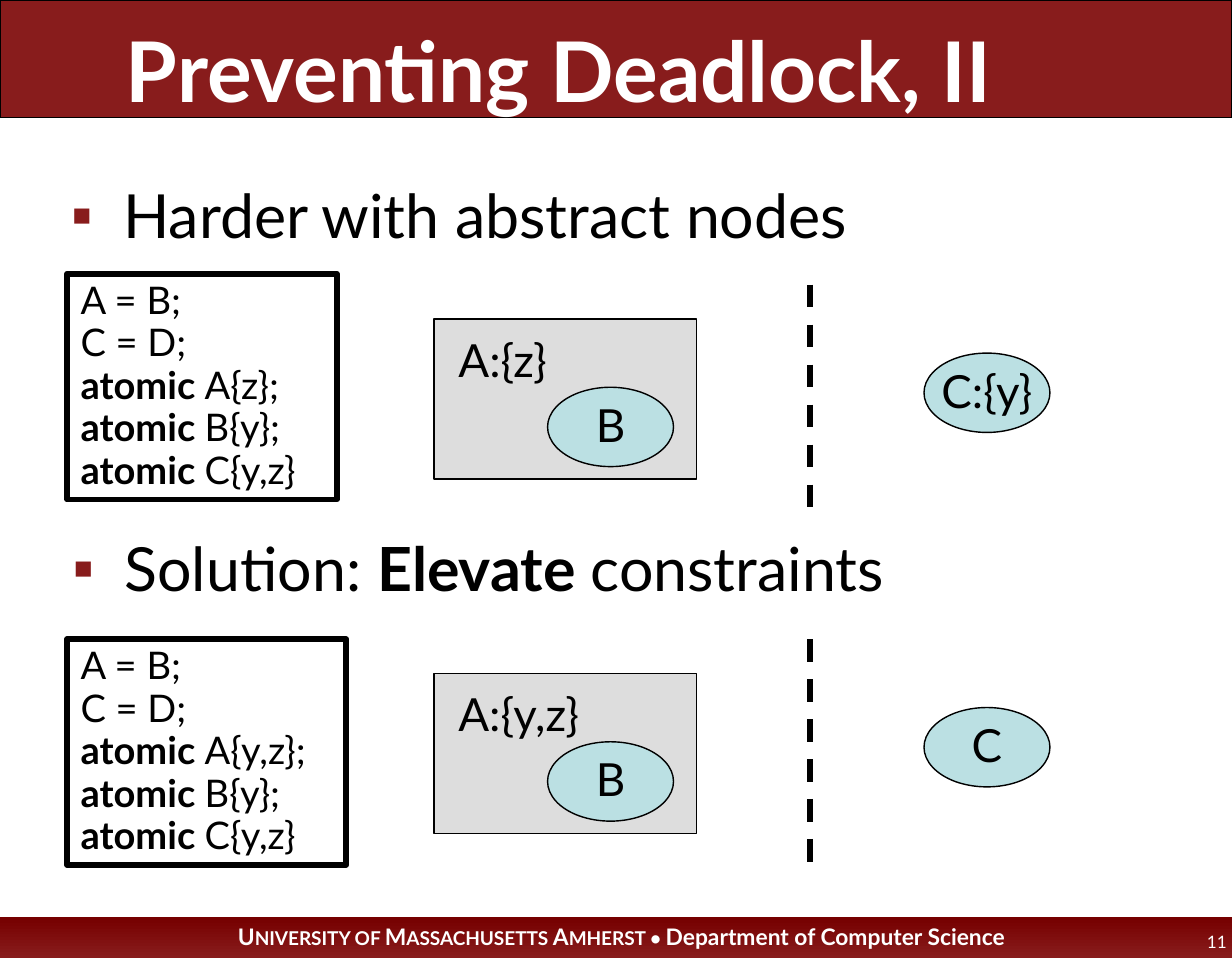
from dataclasses import dataclass

from lxml import etree
from pptx import Presentation
from pptx import util as u
from pptx.dml import color
from pptx.enum import dml, shapes, text
from pptx.oxml import ns

FONT = "Lato"
BLACK, WHITE, MAROON = "000000", "FFFFFF", "881C1C"
GREY, AQUA = "DDDDDD", "BBE0E3"
RECT, OVAL = shapes.MSO_SHAPE.RECTANGLE, shapes.MSO_SHAPE.OVAL
LEFT, CENTER, RIGHT = text.PP_ALIGN.LEFT, text.PP_ALIGN.CENTER, text.PP_ALIGN.RIGHT
TOP, MIDDLE, BOTTOM = text.MSO_ANCHOR.TOP, text.MSO_ANCHOR.MIDDLE, text.MSO_ANCHOR.BOTTOM


@dataclass
class Run:
    text: str
    size: float
    bold: bool = False
    color: str = BLACK


@dataclass
class Example:
    bullet: list[Run]
    bullet_at: tuple[float, float]
    code_top: float
    code_width: float
    atomics: list[str]
    diagram_top: float
    outer_label: str
    label_width: float
    remote_label: str


def rgb(value: str) -> color.RGBColor:
    return color.RGBColor.from_string(value)


def place(sp, x: float, y: float, w: float, h: float) -> None:
    sp.left, sp.top, sp.width, sp.height = map(u.Inches, (x, y, w, h))


def write(sp, lines: list[list[Run]], align=LEFT, anchor=TOP,
          inset: float = 0.1, spacing: float = 0.93, wrap: bool = True) -> None:
    tf = sp.text_frame
    tf.auto_size = text.MSO_AUTO_SIZE.NONE
    tf.word_wrap = wrap
    tf.vertical_anchor = anchor
    tf.margin_left = tf.margin_right = u.Inches(inset)
    tf.margin_top = tf.margin_bottom = u.Inches(0.05)
    for i, runs in enumerate(lines):
        p = tf.add_paragraph() if i else tf.paragraphs[0]
        p.alignment, p.line_spacing, p.space_before = align, spacing, u.Pt(0)
        for run in runs:
            r = p.add_run()
            r.text = run.text
            r.font.name, r.font.size, r.font.bold = FONT, u.Pt(run.size), run.bold
            r.font.color.rgb = rgb(run.color)


def add_box(parent, kind, x: float, y: float, w: float, h: float,
            fill: str, line: float = 0.75):
    sp = parent.shapes.add_shape(kind, *map(u.Inches, (x, y, w, h)))
    sp.shadow.inherit = False
    sp.fill.solid()
    sp.fill.fore_color.rgb = rgb(fill)
    if line:
        sp.line.color.rgb = rgb(BLACK)
        sp.line.width = u.Pt(line)
    else:
        sp.line.fill.background()
    return sp


def add_text(parent, x: float, y: float, w: float, h: float, run: Run, align=LEFT) -> None:
    sp = parent.shapes.add_textbox(*map(u.Inches, (x, y, w, h)))
    write(sp, [[run]], align)


def add_node(parent, x: float, y: float, label: str) -> None:
    sp = add_box(parent, OVAL, x, y, 0.92, 0.58, AQUA)
    write(sp, [[Run(label, 24)]], CENTER, MIDDLE, wrap=False)


def add_divider(parent, x: float, top: float, bottom: float) -> None:
    sp = parent.shapes.add_connector(
        shapes.MSO_CONNECTOR.STRAIGHT, *map(u.Inches, (x, top, x, bottom)))
    sp.line.color.rgb = rgb(BLACK)
    sp.line.width = u.Pt(3)
    sp.line.dash_style = dml.MSO_LINE.DASH
    etree.SubElement(sp._element.spPr, ns.qn("a:effectLst"))


def add_bullet(sp, at: tuple[float, float], runs: list[Run]) -> None:
    place(sp, *at, 7.73, 0.63)
    pPr = sp.text_frame.paragraphs[0]._p.get_or_add_pPr()
    pPr.set("marL", str(u.Inches(0.38)))
    pPr.set("indent", str(-u.Inches(0.38)))
    bu_color = etree.SubElement(pPr, ns.qn("a:buClr"))
    etree.SubElement(bu_color, ns.qn("a:srgbClr"), val=MAROON)
    etree.SubElement(pPr, ns.qn("a:buChar"), char="▪")
    write(sp, [runs], inset=0.09, spacing=1.0)


def add_example(s, body, ex: Example) -> None:
    add_bullet(body, ex.bullet_at, ex.bullet)

    # Code listing
    listing = [[Run(line, 20)] for line in ("A = B;", "C = D;")]
    listing += [[Run("atomic ", 20, True), Run(a, 20)] for a in ex.atomics]
    code = add_box(s, RECT, 0.49, ex.code_top, ex.code_width, 1.65, WHITE, 3)
    write(code, listing)

    # Diagram of nested and remote nodes
    y = ex.diagram_top
    group = s.shapes.add_group_shape()
    add_box(group, RECT, 3.17, y, 1.92, 1.17, GREY)
    add_node(group, 4, y + 0.5, "B")
    add_text(group, 3.25, y + 0.08, ex.label_width, 0.47, Run(ex.outer_label, 24))
    add_node(group, 6.75, y + 0.25, ex.remote_label)
    add_divider(group, 5.92, y - 0.25, y + 1.5)


EXAMPLES = [
    Example([Run("Harder with abstract nodes", 32)], (0.43, 1.25), 2, 1.97,
            ["A{z};", "B{y};", "C{y,z}"], 2.33, "A:{z}", 0.91, "C:{y}"),
    Example([Run("Solution: ", 32), Run("Elevate ", 32, True), Run("constraints", 32)],
            (0.44, 3.83), 4.67, 2.04,
            ["A{y,z};", "B{y};", "C{y,z}"], 4.92, "A:{y,z}", 1.17, "C"),
]
FOOTER = [("U", 12), ("NIVERSITY OF ", 10), ("M", 12), ("ASSACHUSETTS ", 10),
          ("A", 12), ("MHERST • ", 10), ("Department of Computer Science", 12)]


def main() -> None:
    prs = Presentation()
    prs.slide_width, prs.slide_height = u.Inches(9), u.Inches(7)
    s = prs.slides.add_slide(prs.slide_layouts[3])
    title, *bodies = s.placeholders

    # Header and footer bands, sent behind the placeholders
    header = add_box(s, RECT, 0, 0, 9, 0.86, MAROON)
    footer = add_box(s, RECT, 0, 6.7, 9.08, 0.3, MAROON, 0)
    footer.fill.gradient()
    footer.fill.gradient_angle = 270
    for stop, value in zip(footer.fill.gradient_stops, ("760000", MAROON)):
        stop.color.rgb = rgb(value)
    write(footer, [[Run(t, size, True, WHITE) for t, size in FOOTER]], CENTER, spacing=0.99)
    for band in (footer, header):
        s.shapes._spTree.insert(2, band._element)

    # Title
    place(title, 0.83, 0.1, 8.1, 0.82)
    write(title, [[Run("Preventing Deadlock, II", 44, True, WHITE)]],
          anchor=BOTTOM, inset=0.09, spacing=1.0)

    # Bulleted examples
    for body, ex in zip(bodies, EXAMPLES):
        add_example(s, body, ex)

    # Slide number
    add_text(s, 6.96, 6.77, 2.1, 0.23, Run("11", 9, color=WHITE), RIGHT)

    prs.save("out.pptx")


if __name__ == "__main__":
    main()
